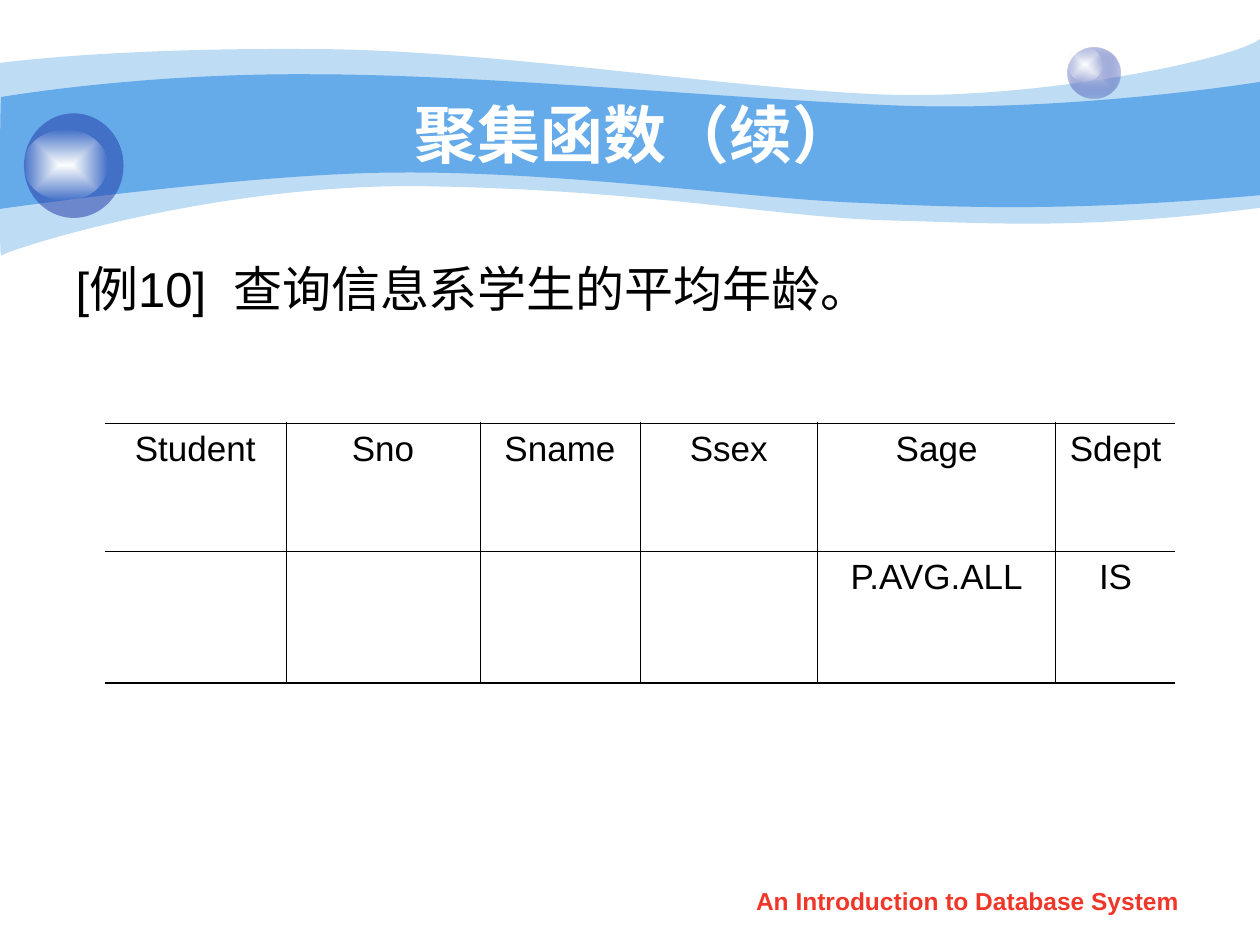
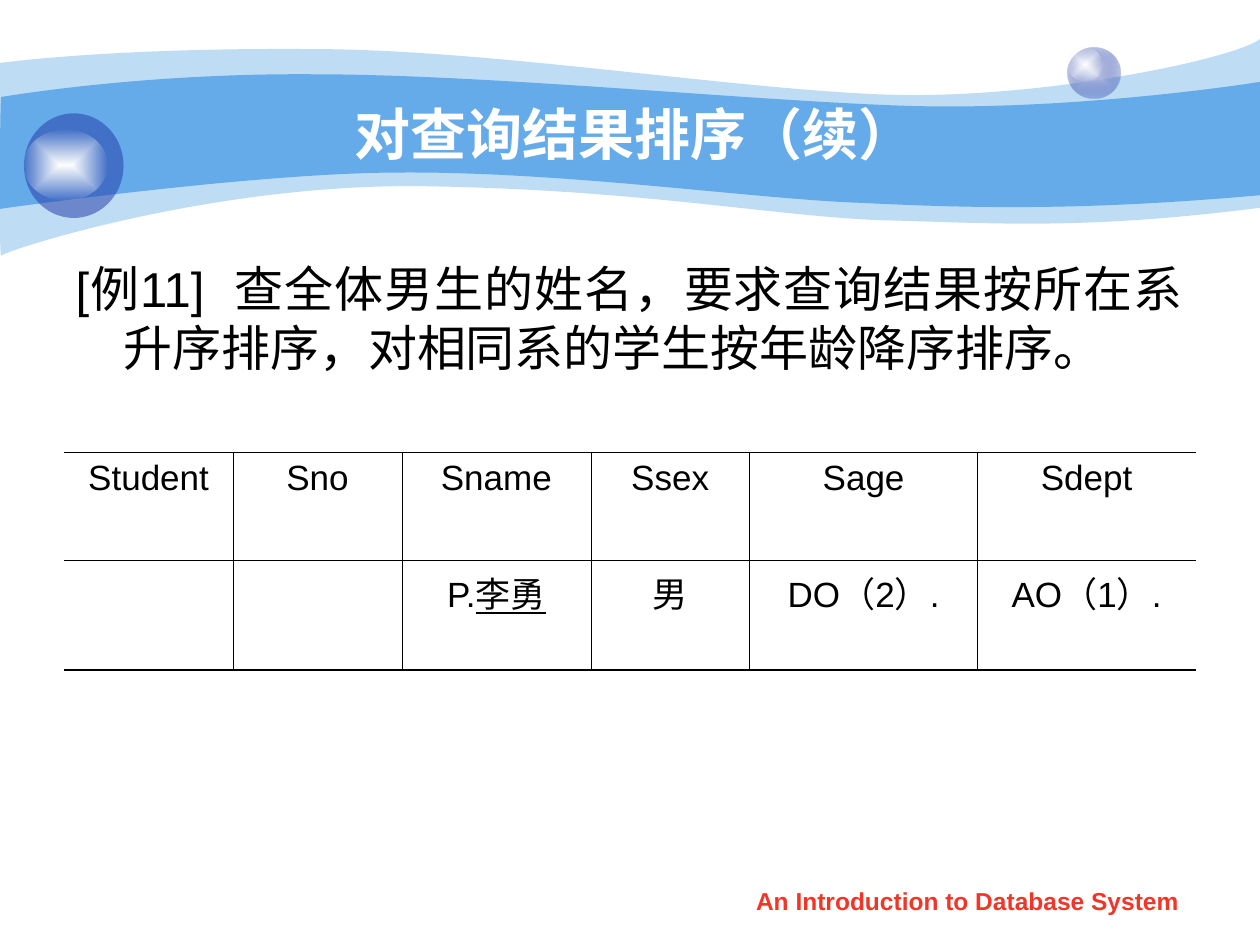
from lxml.etree import SubElement
from pptx import Presentation
from pptx.dml.color import RGBColor
from pptx.enum.shapes import MSO_SHAPE as Shape
from pptx.enum.text import MSO_ANCHOR as Anchor, MSO_AUTO_SIZE as Fit, PP_ALIGN as Align
from pptx.oxml.ns import qn
from pptx.util import Inches, Pt

BLUE, NAVY, PALE = "65AAE9", "233DA9", "C6CCE8"
WHITE, BLACK, RED = "FFFFFF", "000000", "F03628"
TITLE_BOX = (1, 0.75, 8.08, 0.62)
FOOT_BOX = (5.71, 6.98, 3.94, 0.35)
FOOT = "An Introduction to Database System"
HEADS = ["Student", "Sno", "Sname", "Ssex", "Sage", "Sdept"]
THIN, THICK = 0.45, 1.08

# Each wave: start point, then cubic curves (three points) and lines (one).
OUTER = [[(0, 0.5)],
         [(0.24, 0.47), (1.07, 0.38), (2.47, 0.39)],
         [(3.86, 0.39), (5.75, 0.7), (6.99, 0.75)],
         [(8.22, 0.8), (9.8, 0.47), (10, 0.31)],
         [(10, 1.65)],
         [(8.58, 1.83), (7.87, 1.77), (7.05, 1.75)],
         [(6.22, 1.73), (5.15, 1.51), (3.43, 1.48)],
         [(1.72, 1.44), (0.04, 1.99), (0.01, 2.03)],
         [(-0.01, 2.08), (0, 0.75), (0, 0.5)]]
INNER = [[(0.01, 0.77)],
         [(0.02, 0.77), (1.1, 0.58), (2.48, 0.59)],
         [(3.86, 0.59), (5.95, 0.8), (7.18, 0.84)],
         [(8.41, 0.88), (9.76, 0.69), (10, 0.65)],
         [(10, 1.55)],
         [(8.53, 1.68), (7.65, 1.65), (6.82, 1.61)],
         [(5.99, 1.58), (4.47, 1.36), (3.17, 1.37)],
         [(2.03, 1.37), (-0.02, 1.66), (-0.01, 1.66)],
         [(0, 1.66), (0, 0.77), (0.01, 0.77)]]
GLOW = [(WHITE, 100), ("FEFEFE", 0)]


def rgb(code):
    return RGBColor.from_string(code)


def inch(box):
    return [Inches(v) for v in box]


def add_rgb(parent, code, alpha=100):
    clr = SubElement(parent, qn("a:srgbClr"), val=code)
    if alpha < 100:
        SubElement(clr, qn("a:alpha"), val=str(alpha * 1000))


def paint(shape, stops):
    """Fill with one (colour, opacity), or with a gradient from the centre out."""
    shape.shadow.inherit = False
    shape.line.fill.background()
    shape.fill.background()
    props = shape.element.spPr
    old = props.find(qn("a:noFill"))
    kind = "a:solidFill" if len(stops) == 1 else "a:gradFill"
    new = SubElement(props, qn(kind))
    props.replace(old, new)
    if len(stops) == 1:
        add_rgb(new, *stops[0])
        return
    group = SubElement(new, qn("a:gsLst"))
    for i, stop in enumerate(stops):
        add_rgb(SubElement(group, qn("a:gs"), pos=str(i * 100000)), *stop)
    way = SubElement(new, qn("a:path"), path="rect")
    SubElement(way, qn("a:fillToRect"), l="50000", t="50000", r="50000", b="50000")


def bend(wave, parts):
    """Join each run of three line steps into one cubic curve."""
    outline = next(wave.element.iter(qn("a:path")))
    steps = iter(outline.findall(qn("a:lnTo")))
    for part in parts[1:]:
        lines = [next(steps) for _ in part]
        if len(part) == 1:
            continue
        curve = SubElement(outline, qn("a:cubicBezTo"))
        lines[0].addprevious(curve)
        for line in lines:
            curve.append(line[0])
            outline.remove(line)


def add_wave(shapes, parts, alpha):
    first, *rest = [inch(point) for part in parts for point in part]
    pen = shapes.build_freeform(*first)
    pen.add_line_segments(rest, close=True)
    wave = pen.convert_to_shape()
    bend(wave, parts)
    paint(wave, [(BLUE, alpha)])
    return wave


def add_ball(shapes, box, stops, shine):
    """Draw a ball with a glow; shine is top offset, width and height."""
    ball = shapes.add_group_shape()
    left, top = box[:2]
    drop, wide, high = shine
    for area, look in ((box, stops), ((left, top + drop, wide, high), GLOW)):
        paint(ball.shapes.add_shape(Shape.OVAL, *inch(area)), look)
    return ball


def add_band(slide):
    """Draw the banner and hand it to the layout, behind its placeholders."""
    shapes = slide.shapes
    parts = [
        add_wave(shapes, OUTER, 41),
        add_wave(shapes, INNER, 100),
        add_ball(shapes, (8.47, 0.38, 0.42, 0.4), [(PALE, 100), (NAVY, 31)],
                 (0, 0.28, 0.27)),
        add_ball(shapes, (0.19, 0.9, 0.79, 0.83), [(NAVY, 53)], (0.13, 0.66, 0.56)),
    ]
    tree = slide.slide_layout.element.cSld.spTree
    for i, part in enumerate(parts):
        tree.insert(2 + i, part.element)
    for i, tag in enumerate(tree.iter(qn("p:cNvPr")), 1):
        tag.set("id", str(i))


def style(para, align, size, code, bold=False):
    para.alignment = align
    para.space_before = Pt(0)
    look = {"name": "Arial", "size": Pt(size), "bold": bold}
    for run in para.runs:
        for key, value in look.items():
            setattr(run.font, key, value)
        run.font.color.rgb = rgb(code)


def place(shape, box, text, anchor=Anchor.TOP):
    """Set the box and text of a shape and return its paragraph."""
    for key, value in zip(("left", "top", "width", "height"), inch(box)):
        setattr(shape, key, value)
    frame = shape.text_frame
    look = {"text": text, "word_wrap": True, "auto_size": Fit.NONE,
            "vertical_anchor": anchor}
    for key, value in look.items():
        setattr(frame, key, value)
    return frame.paragraphs[0]


def edge(cell, row, col, rows, cols):
    """Rule the cell: thick above and below the grid, open at its sides."""
    widths = {
        "a:lnL": THIN if col else 0,
        "a:lnR": THIN if col < cols - 1 else 0,
        "a:lnT": THIN if row else THICK,
        "a:lnB": THIN if row < rows - 1 else THICK,
    }
    props = cell._tc.get_or_add_tcPr()
    for tag, width in widths.items():
        line = SubElement(props, qn(tag), w=str(Pt(width)))
        if width:
            add_rgb(SubElement(line, qn("a:solidFill")), BLACK)
        else:
            SubElement(line, qn("a:noFill"))
    cell.fill.background()


def add_grid(slide, spot, widths, heights, entries):
    """Add a query table; a tuple entry has its second part underlined."""
    data = [HEADS, entries]
    size = len(data), len(HEADS)
    frame = slide.shapes.add_table(*size, *inch((*spot, sum(widths), sum(heights))))
    table = frame.table
    table.first_row = table.horz_banding = False
    for col, width in zip(table.columns, widths):
        col.width = Inches(width)
    for r, (row, height) in enumerate(zip(table.rows, heights)):
        row.height = Inches(height)
        for c, cell in enumerate(row.cells):
            edge(cell, r, c, *size)
            entry = data[r][c]
            texts = entry if isinstance(entry, tuple) else (entry,)
            para = cell.text_frame.paragraphs[0]
            for i, text in enumerate(filter(None, texts)):
                run = para.add_run()
                run.text = text
                if i:
                    run.font.underline = True
            style(para, Align.CENTER, 20, BLACK)


def add_page(deck, title, size, text, wide, grid):
    slide = deck.slides.add_slide(deck.slide_layouts[1])
    head = place(slide.shapes.title, TITLE_BOX, title, Anchor.MIDDLE)
    style(head, Align.CENTER, size, WHITE, bold=True)
    body = place(slide.placeholders[1], (0.5, 2, wide, 4.92), text)
    props = body._p.get_or_add_pPr()
    props.set("marL", str(Inches(0.38)))
    props.set("indent", str(Inches(-0.38)))
    SubElement(props, qn("a:buNone"))
    style(body, Align.JUSTIFY, 28, BLACK)
    add_grid(slide, *grid)
    foot = place(slide.shapes.add_textbox(*inch(FOOT_BOX)), FOOT_BOX, FOOT)
    style(foot, Align.CENTER, 14, RED, bold=True)
    return slide


def main():
    deck = Presentation()
    deck.slide_width, deck.slide_height = inch((10, 7.5))
    first = add_page(
        deck, "聚集函数（续）", 36, "[例10]  查询信息系学生的平均年龄。", 8.75,
        ((0.83, 3.36), (1.44, 1.54, 1.27, 1.41, 1.89, 0.95), (1.02, 1.04),
         ["", "", "", "", "P.AVG.ALL", "IS"]))
    add_band(first)
    add_page(
        deck, "对查询结果排序（续）", 32,
        "[例11]  查全体男生的姓名，要求查询结果按所在系升序排序，对相同系的学生按年龄降序排序。", 8.99,
        ((0.51, 3.59), (1.34, 1.34, 1.5, 1.26, 1.81, 1.73), (0.86, 0.87),
         ["", "", ("P.", "李勇"), "男", "DO（2）.", "AO（1）."]))
    deck.save("out.pptx")


if __name__ == "__main__":
    main()
